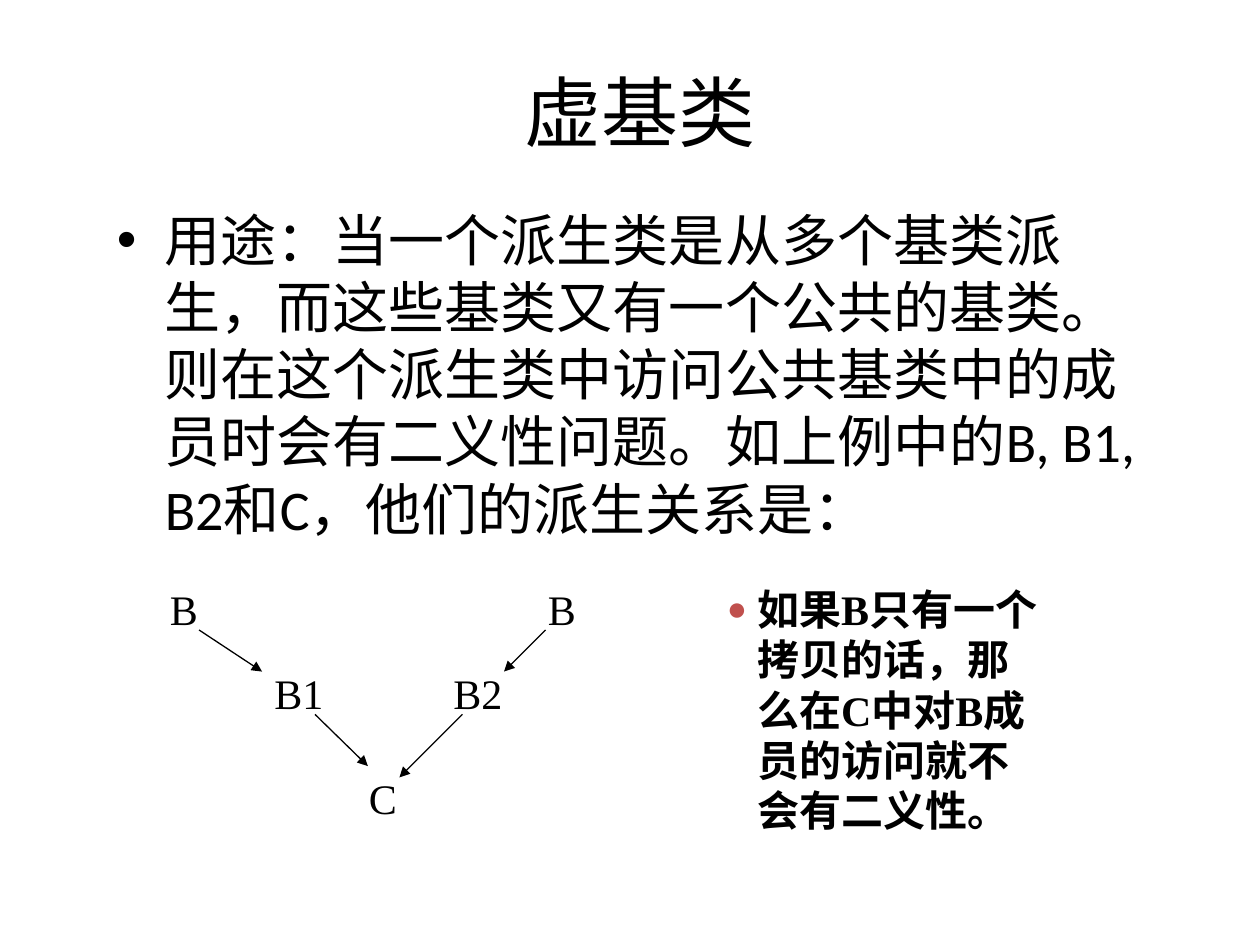
from dataclasses import dataclass

from lxml.etree import SubElement
from pptx import Presentation
from pptx.dml.color import RGBColor
from pptx.enum.lang import MSO_LANGUAGE_ID
from pptx.enum.shapes import MSO_CONNECTOR
from pptx.enum.text import MSO_ANCHOR, PP_ALIGN
from pptx.oxml.ns import qn
from pptx.util import Inches, Pt


@dataclass(frozen=True)
class Theme:
    ink: str = "000000"
    accent: str = "C0504D"
    heading_font: str = "Calibri"
    diagram_font: str = "Times New Roman"
    title_size: int = 44
    body_size: int = 32
    diagram_size: int = 24
    line_width: float = 0.75


theme = Theme()


def add_text(box, text, font, size, bold=False):
    """Add a one-paragraph text box; box is left, top, width, height in inches."""
    frame = slide.shapes.add_textbox(*map(Inches, box)).text_frame
    frame.word_wrap = True
    paragraph = frame.paragraphs[0]
    run = paragraph.add_run()
    run.text = text
    run.font.name = font
    run.font.size = Pt(size)
    run.font.bold = bold
    run.font.color.rgb = RGBColor.from_string(theme.ink)
    run.font.language_id = MSO_LANGUAGE_ID.SIMPLIFIED_CHINESE
    return paragraph, frame


def add_bullet(paragraph, char, color, percent, indent):
    """Give the paragraph a bullet and keep punctuation inside its margins."""
    properties = paragraph._p.get_or_add_pPr()
    properties.set("marL", str(Inches(indent)))
    properties.set("indent", str(-Inches(indent)))
    properties.set("hangingPunct", "0")
    bullet_color = SubElement(properties, qn("a:buClr"))
    SubElement(bullet_color, qn("a:srgbClr"), val=color)
    SubElement(properties, qn("a:buSzPct"), val=str(percent * 1000))
    SubElement(properties, qn("a:buFont"), typeface="Arial")
    SubElement(properties, qn("a:buChar"), char=char)


prs = Presentation()
prs.slide_width = Inches(10)
prs.slide_height = Inches(7.5)
slide = prs.slides.add_slide(prs.slide_layouts[6])

# Title and purpose
title, title_frame = add_text((0.83, 0.25, 8.5, 1.25), "虚基类", theme.heading_font, theme.title_size)
title.alignment = PP_ALIGN.CENTER
title_frame.vertical_anchor = MSO_ANCHOR.MIDDLE

purpose, _ = add_text(
    (0.83, 1.58, 8.5, 2.92),
    "用途：当一个派生类是从多个基类派生，而这些基类又有一个公共的基类。"
    "则在这个派生类中访问公共基类中的成员时会有二义性问题。"
    "如上例中的B, B1, B2和C，他们的派生关系是：",
    theme.heading_font, theme.body_size)
add_bullet(purpose, "•", theme.ink, 100, 0.38)

# Inheritance diagram
class_labels = [
    ("B", 1.25, 4.58, 0.58),
    ("B", 4.25, 4.58, 0.58),
    ("B1", 2.08, 5.25, 0.67),
    ("B2", 3.5, 5.25, 0.75),
    ("C", 2.83, 6.08, 0.75),
]
for class_name, left, top, width in class_labels:
    add_text((left, top, width, 0.5), class_name, theme.diagram_font, theme.diagram_size)

derivations = [
    (1.58, 5, 2.08, 5.33),
    (4.33, 5, 4, 5.33),
    (2.5, 5.67, 2.92, 6.08),
    (3.67, 5.67, 3.17, 6.17),
]
for ends in derivations:
    arrow = slide.shapes.add_connector(MSO_CONNECTOR.STRAIGHT, *map(Inches, ends))
    arrow.line.color.rgb = RGBColor.from_string(theme.ink)
    arrow.line.width = Pt(theme.line_width)
    SubElement(arrow.line._get_or_add_ln(), qn("a:tailEnd"), type="triangle")
    SubElement(arrow._element.spPr, qn("a:effectLst"))

# Consequence of a single copy
remark, _ = add_text(
    (5.67, 4.58, 2.67, 2.1),
    "如果B只有一个拷贝的话，那么在C中对B成员的访问就不会有二义性。",
    theme.diagram_font, theme.diagram_size, bold=True)
add_bullet(remark, "●", theme.accent, 80, 0.24)

prs.save("out.pptx")
